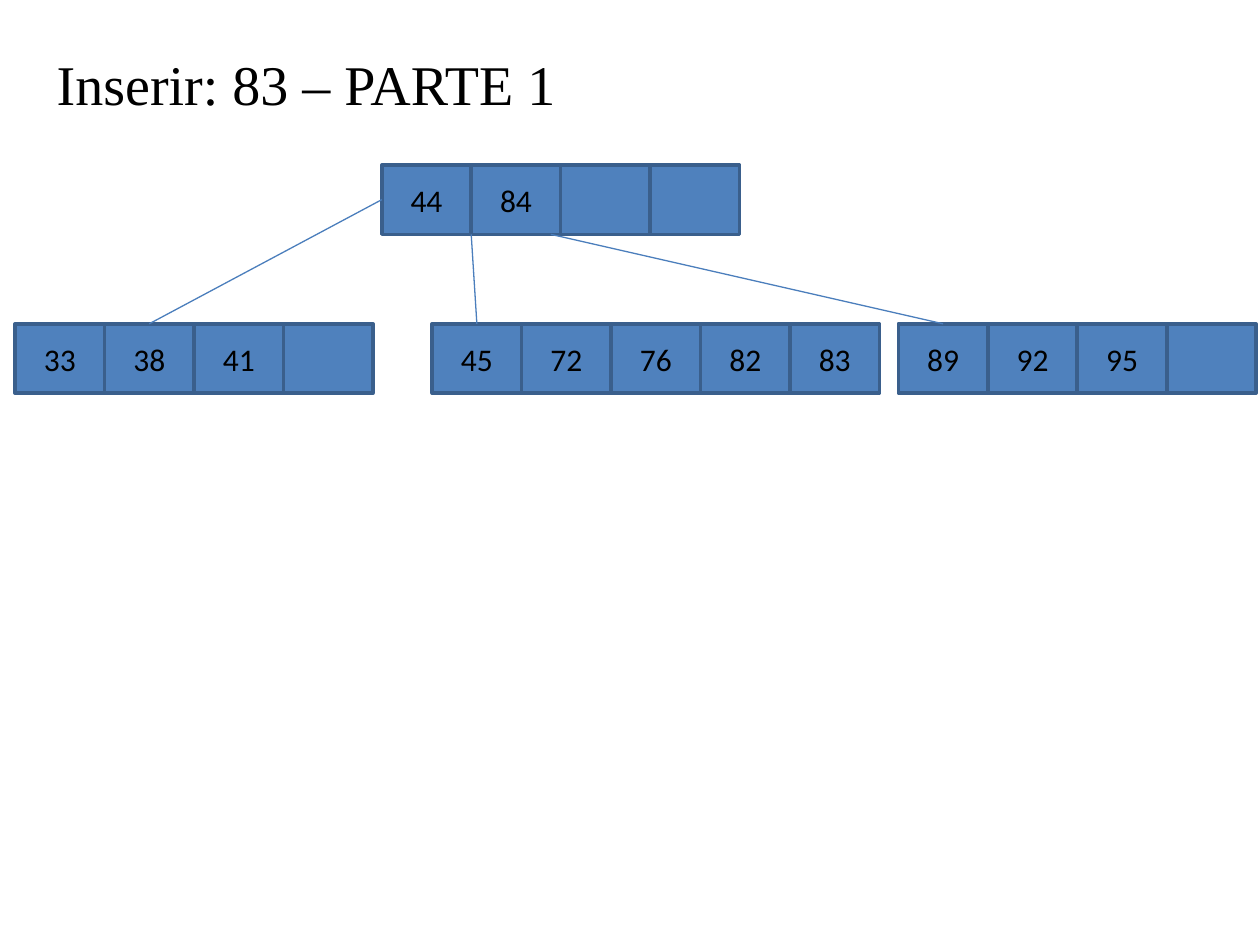
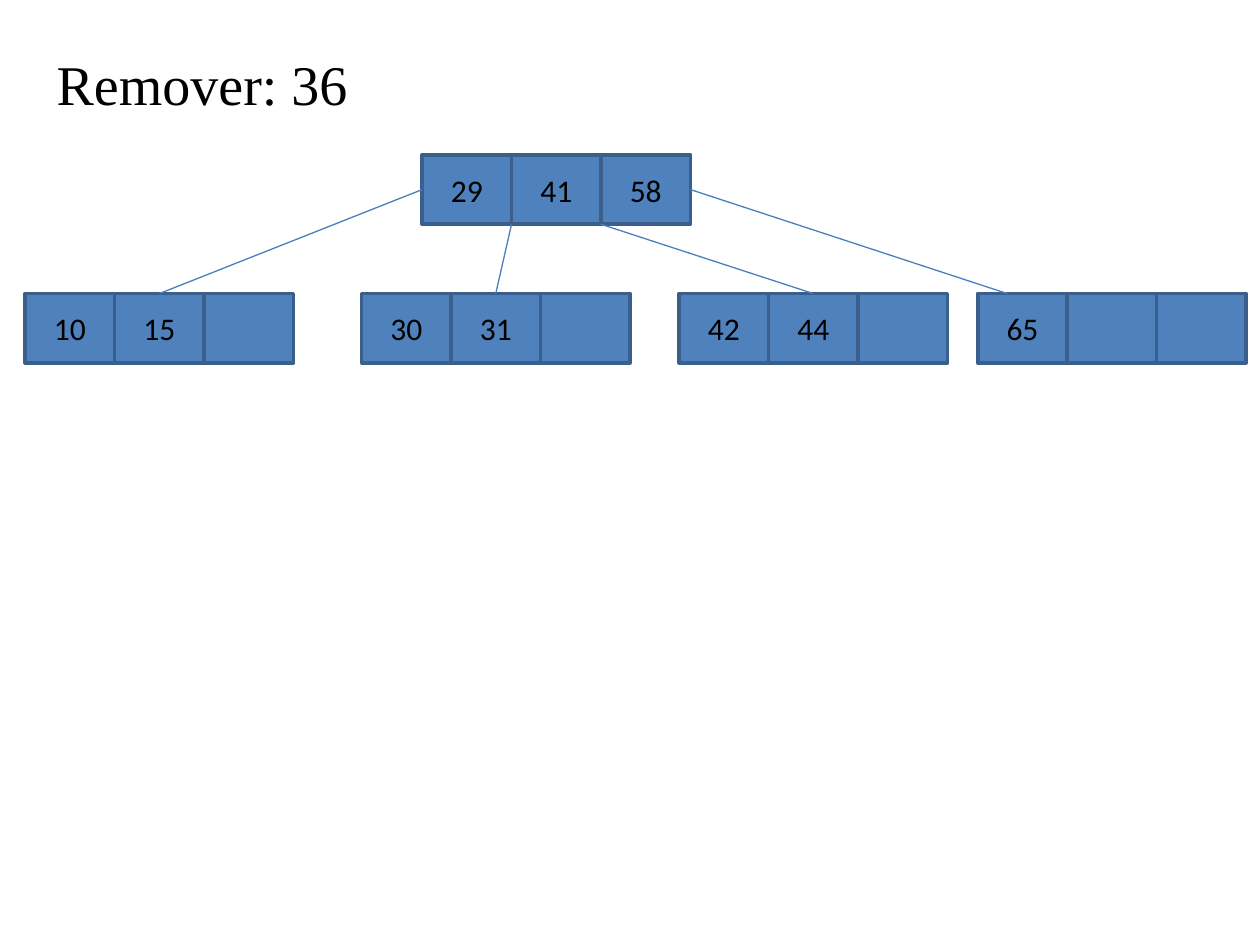
from pptx import Presentation, util as u
from pptx.dml.color import RGBColor
from pptx.enum import shapes, text
from lxml import etree

# Content: a node is (left, keys); None is a free cell.
# A child adds its link: (root edge, point in child), counted in cells.
TREES = [
    {
        "title": "Inserir: 83 – PARTE 1",
        "root_top": 1.31,
        "child_top": 2.57,
        "root": (3.03, [44, 84, None, None]),
        "children": [
            (0.12, [33, 38, 41, None], (0, 1.5)),
            (3.43, [45, 72, 76, 82, 83], (1, 0.5)),
            (7.13, [89, 92, 95, None], (1.89, 0.5)),
        ],
    },
    {
        "title": "Remover: 36",
        "root_top": 1.23,
        "child_top": 2.33,
        "root": (3.35, [29, 41, 58]),
        "children": [
            (0.2, [10, 15, None], (0, 1.5)),
            (2.87, [30, 31, None], (1, 1.5)),
            (5.39, [42, 44, None], (2, 1.5)),
            (7.76, [65, None, None], (3, 0.33)),
        ],
    },
]

# Shared style
CELL_W, CELL_H = 0.71, 0.55
CELL_FILL, CELL_EDGE, LINK, INK = "4F81BD", "3A5F8C", "4B7EBC", "000000"
CENTER, JUSTIFY = text.PP_ALIGN.CENTER, text.PP_ALIGN.JUSTIFY
MIDDLE, TOP = text.MSO_ANCHOR.MIDDLE, text.MSO_ANCHOR.TOP
A = "http://schemas.openxmlformats.org/drawingml/2006/main"


def color(hex_code):
    return RGBColor.from_string(hex_code)


def write(shape, words, size=18, font="Calibri", align=CENTER, anchor=MIDDLE):
    frame = shape.text_frame
    frame.word_wrap = True
    frame.vertical_anchor = anchor
    paragraph = frame.paragraphs[0]
    paragraph.alignment = align
    run = paragraph.add_run()
    run.text = words
    run.font.size = u.Pt(size)
    run.font.name = font
    run.font.color.rgb = color(INK)


def add_title(slide, words):
    title = slide.shapes.title
    title.left, title.top = u.Inches(0.35), u.Inches(0.29)
    title.width, title.height = u.Inches(5.91), u.Inches(1.02)
    title.text_frame.margin_top = u.Inches(0.1)
    write(title, words, size=32, font="Times New Roman", align=JUSTIFY, anchor=TOP)


def add_node(slide, left, top, keys):
    for i, key in enumerate(keys):
        cell = slide.shapes.add_shape(
            shapes.MSO_SHAPE.RECTANGLE, u.Inches(left + i * CELL_W),
            u.Inches(top), u.Inches(CELL_W), u.Inches(CELL_H))
        cell.shadow.inherit = False
        cell.fill.solid()
        cell.fill.fore_color.rgb = color(CELL_FILL)
        cell.line.color.rgb = color(CELL_EDGE)
        cell.line.width = u.Pt(2)
        if key is not None:
            write(cell, str(key))


def add_link(slide, *ends):
    link = slide.shapes.add_connector(
        shapes.MSO_CONNECTOR.STRAIGHT, *[u.Inches(end) for end in ends])
    link.line.color.rgb = color(LINK)
    link.line.width = u.Pt(0.75)
    etree.SubElement(link._element.spPr, f"{{{A}}}effectLst")


def draw_tree(slide, tree):
    root_left, root_keys = tree["root"]
    root_top, child_top = tree["root_top"], tree["child_top"]
    add_node(slide, root_left, root_top, root_keys)
    for left, keys, (edge, point) in tree["children"]:
        add_node(slide, left, child_top, keys)
        # Outer links leave the root's sides, inner ones its bottom
        drop = CELL_H / 2 if edge in (0, len(root_keys)) else CELL_H
        add_link(slide, root_left + edge * CELL_W, root_top + drop,
                 left + point * CELL_W, child_top)


def main():
    deck = Presentation()
    deck.slide_width, deck.slide_height = u.Inches(10), u.Inches(7.5)
    title_only = deck.slide_layouts[5]
    for tree in TREES:
        slide = deck.slides.add_slide(title_only)
        add_title(slide, tree["title"])
        draw_tree(slide, tree)
    deck.save("out.pptx")


if __name__ == "__main__":
    main()
